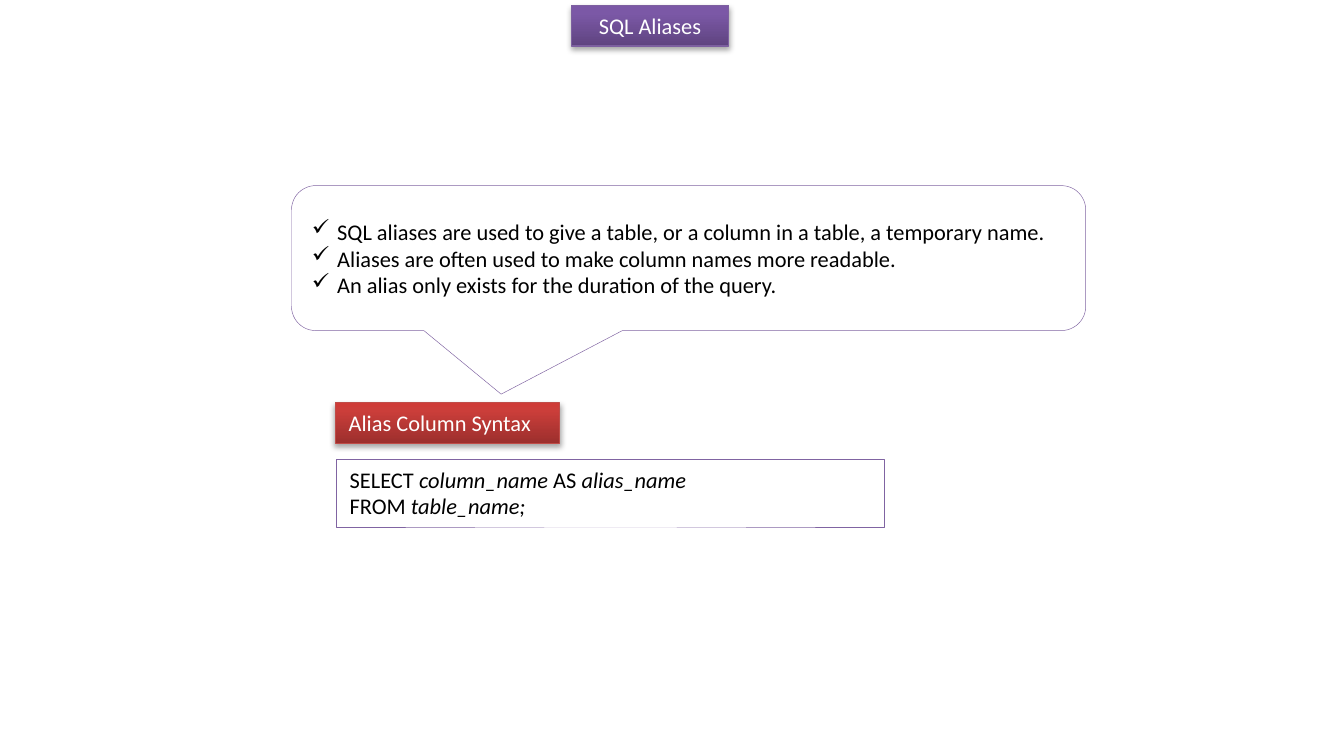
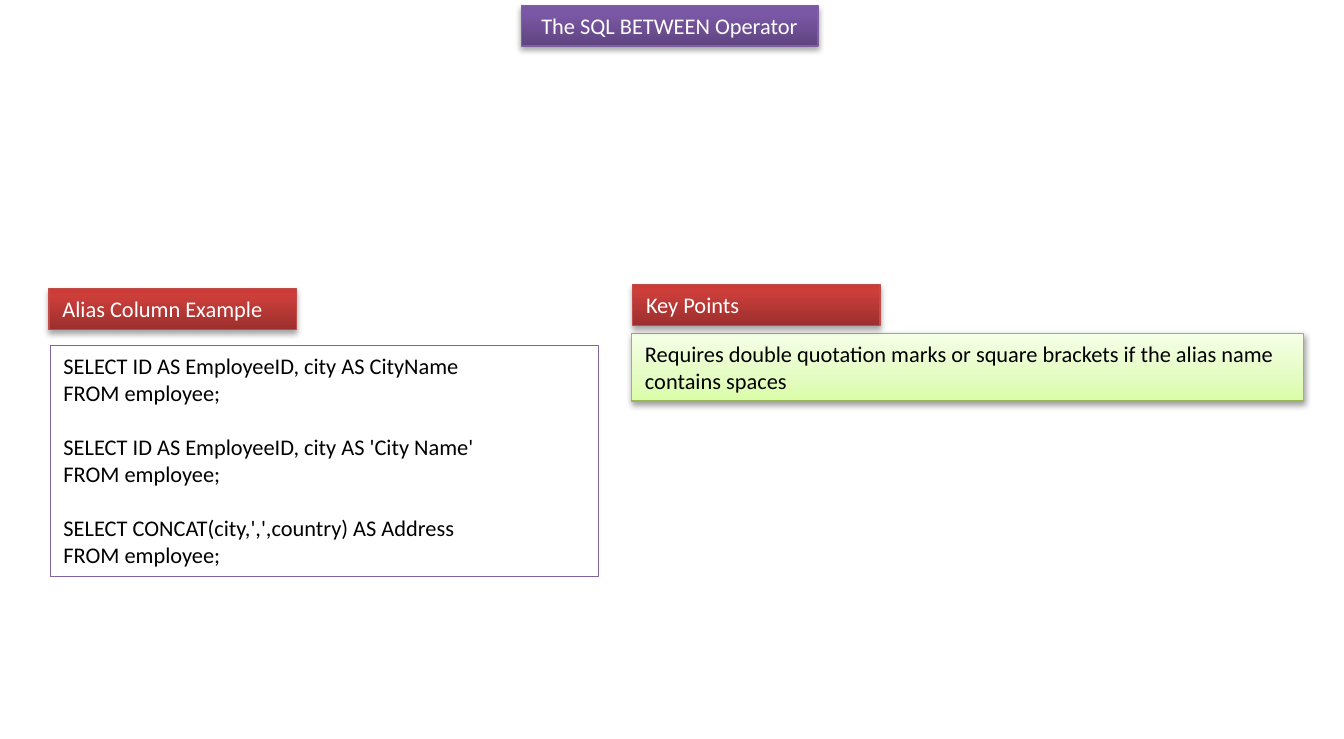
import dataclasses

import pptx
import pptx.dml.color
import pptx.enum.shapes
import pptx.enum.text
import pptx.oxml
import pptx.oxml.ns
import pptx.util
from lxml import etree

Cm = pptx.util.Cm
Pt = pptx.util.Pt
qn = pptx.oxml.ns.qn
SHAPES = pptx.enum.shapes.MSO_SHAPE
ALIGN = pptx.enum.text.PP_ALIGN
ANCHOR = pptx.enum.text.MSO_ANCHOR


@dataclasses.dataclass(frozen=True)
class Look:
    """Fill stops run from the bottom edge (0) to the top edge (100)."""
    stops: tuple
    line: str
    text: str
    width: float = 0.75
    shade: int = 35
    drop: float = 1.8


@dataclasses.dataclass(frozen=True)
class Theme:
    font: str = "Calibri"
    size: int = 12
    gap: float = 14.6
    tag_high: float = 0.77
    code_wide: float = 10.36
    code_drop: float = 1.07
    title: Look = Look(((0, "5F4480"), (80, "7B58A6"), (100, "7C57A8")),
                       "7D60A0", "FFFFFF")
    tag: Look = Look(((0, "9C2F2D"), (80, "CB3E3A"), (100, "CE3B37")),
                     "BF4C48", "FFFFFF")
    note: Look = Look(((0, "DAFDA7"), (35, "E4FCC2"), (100, "F5FFE7")),
                      "98B955", "000000", shade=38, drop=1.6)
    plain: Look = Look(((0, "FFFFFF"),), "8064A2", "000000", width=0.25)


THEME = Theme()


def tint(hue):
    return pptx.dml.color.RGBColor.from_string(hue)


def add_stops(shape, stops):
    shape.fill.gradient()
    shape.fill.gradient_angle = 90
    chain = shape._element.spPr.find(".//" + qn("a:gsLst"))
    for old in list(chain):
        chain.remove(old)
    for place, hue in stops:
        stop = etree.SubElement(chain, qn("a:gs"), pos=str(place * 1000))
        etree.SubElement(stop, qn("a:srgbClr"), val=hue)


def add_shade(shape, look):
    effect = shape._element.spPr.find(qn("a:effectLst"))
    shade = etree.SubElement(
        effect, qn("a:outerShdw"), blurRad=str(Pt(3.1)),
        dist=str(Pt(look.drop)), dir="5400000", rotWithShape="0")
    hue = etree.SubElement(shade, qn("a:srgbClr"), val="000000")
    etree.SubElement(hue, qn("a:alpha"), val=str(look.shade * 1000))


def paint(shape, look):
    shape.shadow.inherit = False
    shape.line.color.rgb = tint(look.line)
    shape.line.width = Pt(look.width)
    if len(look.stops) > 1:
        add_stops(shape, look.stops)
        add_shade(shape, look)
    else:
        shape.fill.solid()
        shape.fill.fore_color.rgb = tint(look.stops[0][1])


def write(shape, lines, look, align=ALIGN.LEFT, anchor=ANCHOR.TOP):
    """Fill a shape with one paragraph a line; text between * is italic."""
    frame = shape.text_frame
    frame.word_wrap = True
    frame.auto_size = pptx.enum.text.MSO_AUTO_SIZE.NONE
    frame.vertical_anchor = anchor
    frame.text = "\n".join(lines)
    for para, line in zip(frame.paragraphs, lines):
        para.alignment = align
        parts = line.split("*")
        para.runs[0].text = parts[0]
        for part in parts[1:]:
            if part:
                para.add_run().text = part
        for index, run in enumerate(para.runs):
            run.font.name = THEME.font
            run.font.size = Pt(THEME.size)
            run.font.italic = index % 2 == 1
            run.font.color.rgb = tint(look.text)


def add_box(slide, place, lines, look, kind=SHAPES.RECTANGLE,
            anchor=ANCHOR.TOP):
    box = slide.shapes.add_shape(kind, *map(Cm, place))
    paint(box, look)
    write(box, lines, look, anchor=anchor)
    return box


def add_slide(deck, title, left, width):
    slide = deck.slides.add_slide(deck.slide_layouts[5])
    head = slide.shapes.title
    head.left, head.top = Cm(left), Cm(0.1)
    head.width, head.height = Cm(width), Cm(THEME.tag_high)
    paint(head, THEME.title)
    write(head, [title], THEME.title, ALIGN.CENTER)
    return slide


def add_tag(slide, left, top, width, text):
    add_box(slide, (left, top, width, THEME.tag_high), [text], THEME.tag)


def add_code(slide, left, top, width, height, label, blocks):
    """Place a tag with a box of code blocks below it."""
    lines = [line for block in blocks for line in block]
    place = (left + 0.02, top + THEME.code_drop, THEME.code_wide, height)
    box = add_box(slide, place, lines, THEME.plain)
    first = 0
    for block in blocks:
        if first:
            box.text_frame.paragraphs[first].space_before = Pt(THEME.gap)
        first += len(block)
    add_tag(slide, left, top, width, label)


def add_bubble(slide, place, lines):
    box = add_box(slide, place, lines, THEME.plain,
                  SHAPES.ROUNDED_RECTANGULAR_CALLOUT, ANCHOR.MIDDLE)
    for index, value in enumerate((-0.236, 0.939, 0.167)):
        box.adjustments[index] = value
    for para in box.text_frame.paragraphs:
        props = para._p.get_or_add_pPr()
        props.set("marL", str(Cm(0.48)))
        props.set("indent", str(-Cm(0.48)))
        etree.SubElement(props, qn("a:buChar"), char="✓")


def main():
    deck = pptx.Presentation()
    deck.slide_width, deck.slide_height = Cm(25.4), Cm(13.97)

    slide = add_slide(deck, "SQL Aliases", 10.8, 2.97)
    add_code(slide, 6.34, 7.61, 4.24, 1.28, "Alias Column Syntax", [
        ["SELECT *column_name* AS *alias_name*", "FROM *table_name;*"]])
    add_bubble(slide, (5.51, 3.51, 15.01, 2.74), [
        "SQL aliases are used to give a table, or a column in a table, "
        "a temporary name.",
        "Aliases are often used to make column names more readable.",
        "An alias only exists for the duration of the query."])

    slide = add_slide(deck, "The SQL BETWEEN Operator", 9.85, 5.61)
    add_code(slide, 0.93, 5.46, 4.67, 4.37, "Alias Column Example", [
        ["SELECT ID AS EmployeeID, city AS CityName", "FROM employee;"],
        ["SELECT ID AS EmployeeID, city AS 'City Name'", "FROM employee;"],
        ["SELECT CONCAT(city,',',country) AS Address", "FROM employee;"]])
    add_box(slide, (11.94, 6.3, 12.7, 1.28), [
        "Requires double quotation marks or square brackets if the alias "
        "name contains spaces"], THEME.note)
    add_tag(slide, 11.96, 5.38, 4.67, "Key Points")

    deck.save("out.pptx")


if __name__ == "__main__":
    main()
